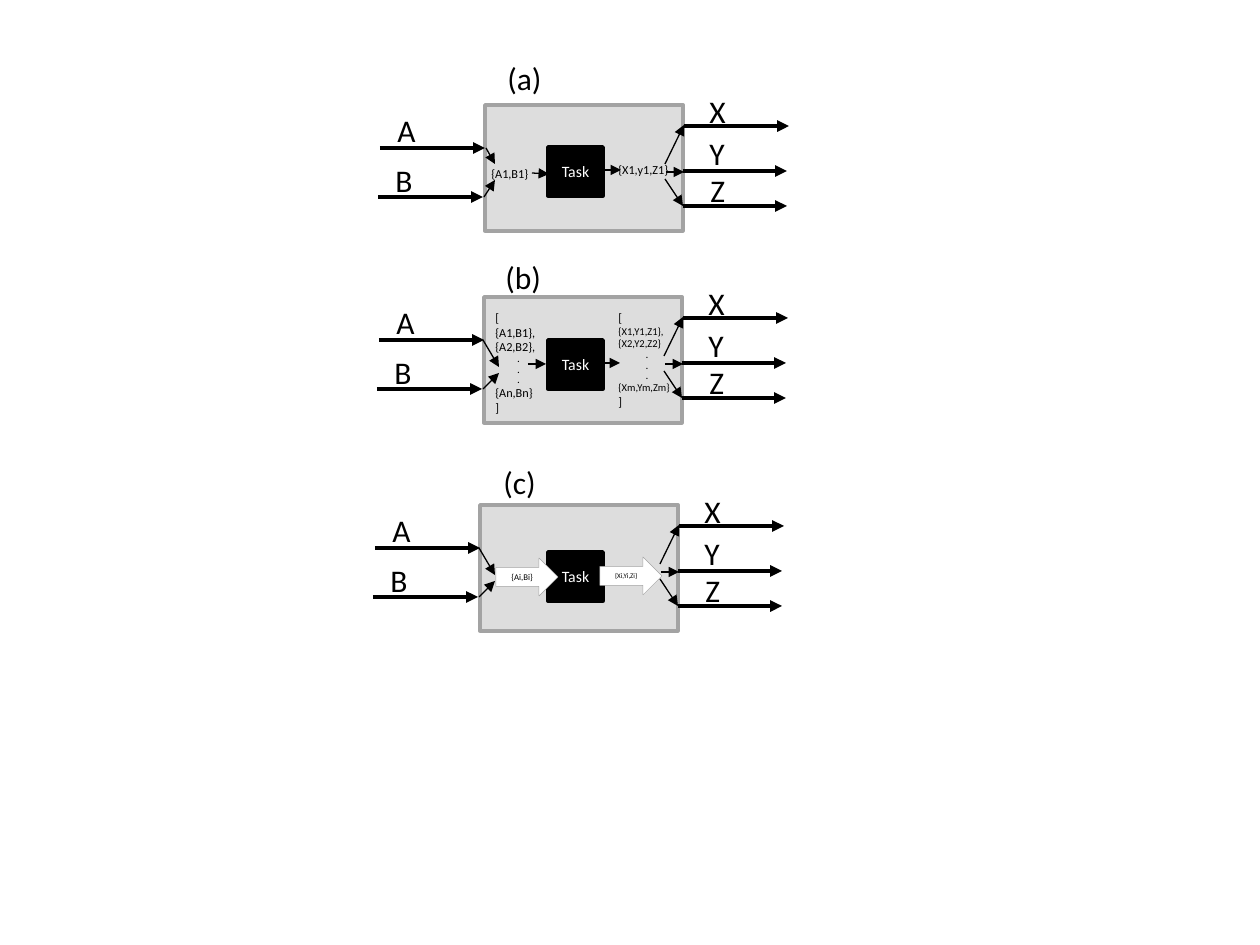
from copy import deepcopy
from dataclasses import dataclass

from lxml.etree import SubElement
from pptx import Presentation
from pptx.dml.color import RGBColor
from pptx.enum.shapes import MSO_CONNECTOR, MSO_SHAPE
from pptx.enum.text import MSO_ANCHOR, MSO_AUTO_SIZE, PP_ALIGN
from pptx.oxml.ns import qn
from pptx.util import Emu, Inches, Pt

BLACK = RGBColor(0x00, 0x00, 0x00)
WHITE = RGBColor(0xFF, 0xFF, 0xFF)
LIGHT_GRAY = RGBColor(0xDD, 0xDD, 0xDD)
MID_GRAY = RGBColor(0xA3, 0xA3, 0xA3)
FONT = "Calibri"
PIXELS_PER_INCH = 126
THICK = 2.25
THIN = 0.75


@dataclass(frozen=True)
class Box:
    left: int
    top: int
    width: int
    height: int


@dataclass(frozen=True)
class Arrow:
    x1: int
    y1: int
    x2: int
    y2: int
    weight: float = THIN


@dataclass(frozen=True)
class Line:
    text: str
    size: float


@dataclass(frozen=True)
class Label:
    box: Box
    lines: tuple[Line, ...]
    wrap: bool = True


@dataclass(frozen=True)
class Block:
    box: Box
    line: Line
    preset: MSO_SHAPE
    fill: RGBColor
    outline: RGBColor
    weight: float
    ink: RGBColor


@dataclass(frozen=True)
class Panel:
    left: int
    top: int
    blocks: tuple[Block, ...]
    labels: tuple[Label, ...]
    arrows: tuple[Arrow, ...]


def heading(text: str, left: int, top: int, width: int) -> Label:
    return Label(Box(left, top, width, 50), (Line(text, 18),), wrap=False)


def task(left: int, top: int) -> Block:
    return Block(Box(left, top, 55, 49), Line("Task", 9), MSO_SHAPE.RECTANGLE, BLACK, BLACK, 2, WHITE)


def token(text: str, size: float, left: int, top: int) -> Block:
    return Block(Box(left, top, 62, 38), Line(text, size), MSO_SHAPE.RIGHT_ARROW, WHITE, MID_GRAY, 0.25, BLACK)


DOTS = (Line(".", 5),) * 3
PORT_LABELS = (
    heading("A", -100, 0, 44), heading("B", -102, 50, 44),
    heading("X", 212, -19, 42), heading("Y", 212, 23, 42), heading("Z", 213, 60, 40),
)
PORT_ARROWS = (
    Arrow(-105, 43, 0, 43, THICK), Arrow(-107, 92, -2, 92, THICK),
    Arrow(199, 21, 304, 21, THICK), Arrow(198, 66, 302, 66, THICK), Arrow(198, 101, 302, 101, THICK),
    Arrow(181, 67, 199, 67), Arrow(180, 59, 199, 20), Arrow(180, 74, 198, 101),
)
WIDE_INLETS = (Arrow(-1, 43, 15, 70), Arrow(-1, 92, 15, 76))

PANELS = (
    Panel(
        485, 105, (task(63, 42),),
        (heading("(a)", 10, -52, 60),
         Label(Box(-6, 55, 71, 28), (Line("{A1,B1}", 7),)),
         Label(Box(121, 51, 82, 28), (Line("{X1,y1,Z1}", 7),))),
        (Arrow(1, 43, 10, 59), Arrow(-1, 92, 10, 75), Arrow(47, 68, 64, 69), Arrow(119, 65, 136, 65)),
    ),
    Panel(
        484, 297, (task(64, 43),),
        (heading("(b)", 9, -45, 62),
         Label(Box(-1, 7, 71, 118),
               (Line("[\v{A1,B1},", 7), Line("{A2,B2},", 7), *DOTS, Line("{An,Bn}\v]", 7))),
         Label(Box(122, 7, 82, 127),
               (Line("[", 7), Line("{X1,Y1,Z1},", 6), Line("{X2,Y2,Z2}", 6), *DOTS,
                Line("{Xm,Ym,Zm}", 6), Line("]", 7)))),
        (*WIDE_INLETS, Arrow(44, 67, 62, 67), Arrow(118, 66, 136, 66)),
    ),
    Panel(
        480, 505,
        (task(68, 47), token("{Ai,Bi}", 5, 16, 53), token("{Xi,Yi,Zi}", 4, 120, 52)),
        (heading("(c)", 11, -48, 58),), WIDE_INLETS,
    ),
)


def px(value: int) -> Emu:
    return Emu(round(value * Inches(1) / PIXELS_PER_INCH))


def place(panel: Panel, box: Box) -> tuple[Emu, Emu, Emu, Emu]:
    return px(panel.left + box.left), px(panel.top + box.top), px(box.width), px(box.height)


def format_paragraph(paragraph, line: Line, color: RGBColor) -> None:
    paragraph.text = line.text
    for run in paragraph.runs:
        run.font.name = FONT
        run.font.size = Pt(line.size)
        run.font.bold = line.text == "."
        run.font.color.rgb = color
    for line_break in paragraph._p.findall(qn("a:br")):
        line_break.append(deepcopy(paragraph.runs[0]._r.rPr))


def add_block(slide, panel: Panel, block: Block) -> None:
    shape = slide.shapes.add_shape(block.preset, *place(panel, block.box))
    shape.shadow.inherit = False
    shape.fill.solid()
    shape.fill.fore_color.rgb = block.fill
    shape.line.color.rgb = block.outline
    shape.line.width = Pt(block.weight)
    if block.line.text:
        shape.text_frame.vertical_anchor = MSO_ANCHOR.MIDDLE
        paragraph = shape.text_frame.paragraphs[0]
        paragraph.alignment = PP_ALIGN.CENTER
        format_paragraph(paragraph, block.line, block.ink)


def add_label(slide, panel: Panel, label: Label) -> None:
    text_frame = slide.shapes.add_textbox(*place(panel, label.box)).text_frame
    text_frame.word_wrap = label.wrap
    text_frame.auto_size = MSO_AUTO_SIZE.SHAPE_TO_FIT_TEXT
    text_frame.text = "\n".join(line.text for line in label.lines)
    for paragraph, line in zip(text_frame.paragraphs, label.lines):
        format_paragraph(paragraph, line, BLACK)
        if line.text == ".":
            paragraph.alignment = PP_ALIGN.CENTER


def add_arrow(slide, panel: Panel, arrow: Arrow) -> None:
    connector = slide.shapes.add_connector(
        MSO_CONNECTOR.STRAIGHT,
        px(panel.left + arrow.x1), px(panel.top + arrow.y1),
        px(panel.left + arrow.x2), px(panel.top + arrow.y2),
    )
    connector.line.color.rgb = BLACK
    connector.line.width = Pt(arrow.weight)
    SubElement(connector.line._get_or_add_ln(), qn("a:tailEnd"), type="triangle")
    SubElement(connector._element.spPr, qn("a:effectLst"))


def add_panel(slide, panel: Panel) -> None:
    frame = Block(Box(0, 0, 198, 126), Line("", 9), MSO_SHAPE.RECTANGLE, LIGHT_GRAY, MID_GRAY, 2, BLACK)
    for block in (frame, *panel.blocks):
        add_block(slide, panel, block)
    for label in PORT_LABELS + panel.labels:
        add_label(slide, panel, label)
    for arrow in PORT_ARROWS + panel.arrows:
        add_arrow(slide, panel, arrow)


presentation = Presentation()
presentation.slide_width = Inches(10)
presentation.slide_height = Inches(7.5)
slide = presentation.slides.add_slide(presentation.slide_layouts[6])
for panel in PANELS:
    add_panel(slide, panel)
presentation.save("out.pptx")
